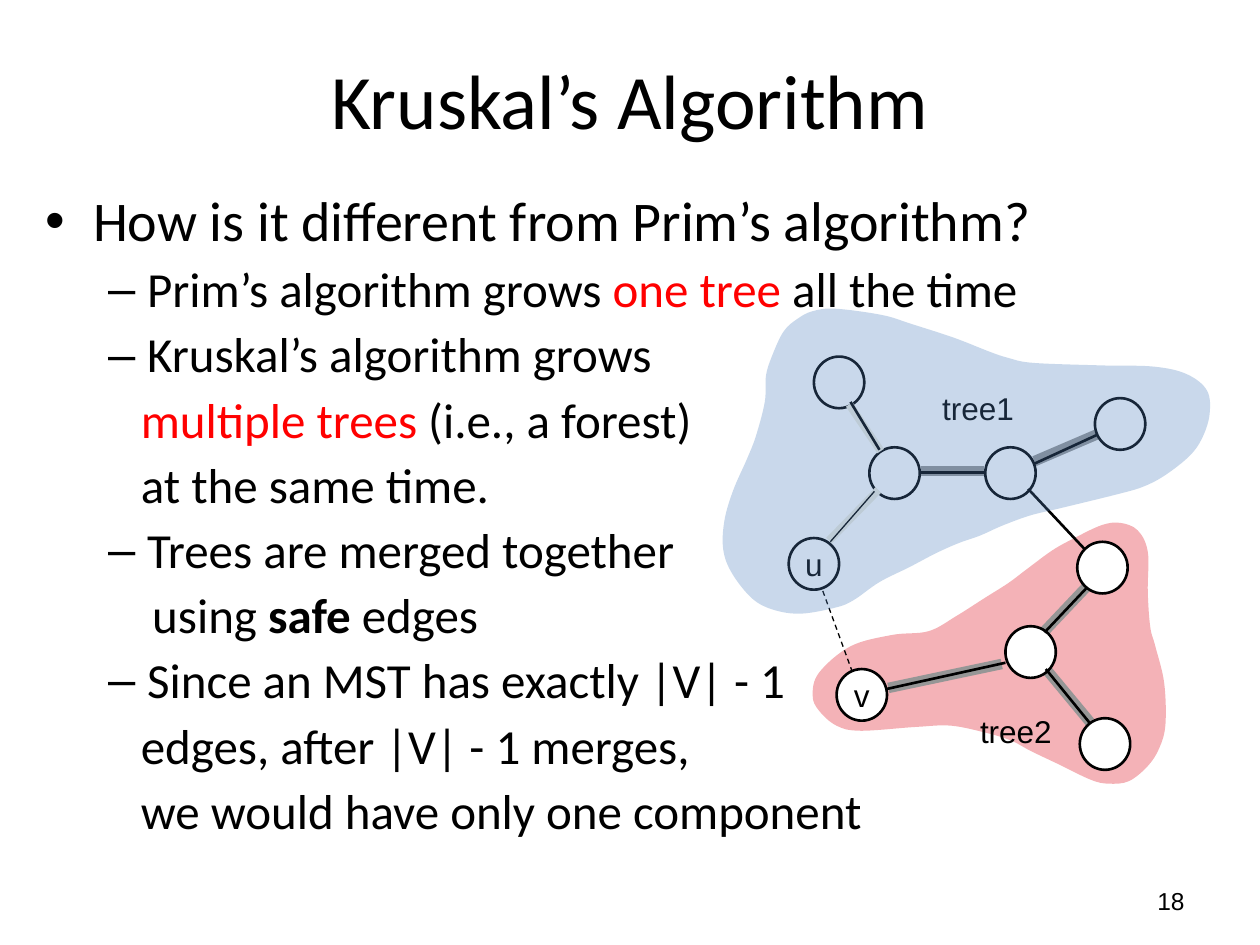
from lxml import etree
from pptx import Presentation
from pptx.dml.color import RGBColor
from pptx.enum.dml import MSO_LINE
from pptx.enum.shapes import MSO_CONNECTOR, MSO_SHAPE
from pptx.enum.text import MSO_ANCHOR, PP_ALIGN
from pptx.oxml.ns import qn
from pptx.util import Inches, Pt

BLACK = RGBColor(0x00, 0x00, 0x00)
WHITE = RGBColor(0xFF, 0xFF, 0xFF)
RED = RGBColor(0xFF, 0x00, 0x00)
GRAY = RGBColor(0x96, 0x96, 0x96)
CREAM = RGBColor(0xEE, 0xEC, 0xE1)
TREE1_BLUE = RGBColor(0x4F, 0x81, 0xBD)
TREE2_RED = RGBColor(0xDD, 0x01, 0x11)

LEFT, CENTER, RIGHT = PP_ALIGN.LEFT, PP_ALIGN.CENTER, PP_ALIGN.RIGHT
TOP, MIDDLE = MSO_ANCHOR.TOP, MSO_ANCHOR.MIDDLE
STRAIGHT, OVAL, DASH = MSO_CONNECTOR.STRAIGHT, MSO_SHAPE.OVAL, MSO_LINE.DASH

TITLE = {"name": "Calibri", "size": Pt(44)}
HEADING = {"name": "Calibri", "size": Pt(32)}
BODY = {"name": "Calibri", "size": Pt(28)}
LABEL = {"name": "Arial", "size": Pt(18)}
SMALL = {"name": "Arial", "size": Pt(14)}

# Body rows: bullet, left margin, first-line indent, spans of (text, colour, bold)
SUB = ("–", 0.81, -0.31)
CONTINUED = (None, 0.76, 0)
ROWS = [
    (("•", 0.38, -0.38), [("How is it different from Prim’s algorithm?", BLACK, False)]),
    (SUB, [("Prim’s algorithm grows ", BLACK, False), ("one tree", RED, False),
           (" all the time", BLACK, False)]),
    (SUB, [("Kruskal’s algorithm grows", BLACK, False)]),
    (CONTINUED, [("multiple trees ", RED, False), ("(i.e., a forest)", BLACK, False)]),
    (CONTINUED, [("at the same time.", BLACK, False)]),
    (SUB, [("Trees are merged together", BLACK, False)]),
    ((None, 0.85, 0), [("using ", BLACK, False), ("safe", BLACK, True),
                       (" edges", BLACK, False)]),
    (SUB, [("Since an MST has exactly |V| - 1", BLACK, False)]),
    (CONTINUED, [("edges, after |V| - 1 merges,", BLACK, False)]),
    (CONTINUED, [("we would have only one component", BLACK, False)]),
]

# Outline points of the two tree areas
TREE1_AREA = [
    (6.33, 2.53), (6.22, 2.63), (6.13, 2.82), (6.08, 2.98), (6.07, 3.19), (6, 3.46),
    (5.93, 3.64), (5.82, 3.89), (5.75, 4.13), (5.74, 4.36), (5.81, 4.55), (5.97, 4.75),
    (6.14, 4.84), (6.36, 4.87), (6.64, 4.82), (6.78, 4.76), (6.98, 4.62), (7.22, 4.5),
    (7.43, 4.39), (7.61, 4.31), (7.78, 4.25), (7.96, 4.17), (8.18, 4.09), (8.43, 4.03),
    (8.88, 3.92), (9.08, 3.86), (9.25, 3.77), (9.44, 3.62), (9.54, 3.48), (9.6, 3.29),
    (9.58, 3.1), (9.42, 2.97), (9.16, 2.91), (8.74, 2.9), (8.2, 2.88), (8, 2.84),
    (7.85, 2.79), (7.57, 2.68), (7.23, 2.57), (7, 2.5), (6.63, 2.45), (6.45, 2.47),
]
TREE2_AREA = [
    (7.37, 5.01), (7.08, 5.04), (6.75, 5.13), (6.5, 5.34), (6.45, 5.52), (6.5, 5.64),
    (6.64, 5.76), (6.83, 5.8), (7.27, 5.77), (7.55, 5.76), (7.84, 5.82), (8.03, 5.88),
    (8.18, 5.96), (8.41, 6.07), (8.66, 6.19), (8.8, 6.22), (8.96, 6.2), (9.11, 6.08),
    (9.2, 5.94), (9.25, 5.75), (9.24, 5.42), (9.17, 5.13), (9.13, 4.98), (9.11, 4.7),
    (9.11, 4.38), (9.03, 4.21), (8.89, 4.15), (8.74, 4.17), (8.51, 4.28), (8.35, 4.37),
    (8.16, 4.51), (8, 4.63), (7.81, 4.75), (7.59, 4.89),
]

NODES = [
    (6.26, 4.27, "u"), (6.9, 3.55, ""), (7.82, 3.55, ""), (8.69, 3.16, ""),
    (8.55, 4.3, ""), (6.46, 2.83, ""), (7.98, 4.97, ""), (8.57, 5.7, ""),
    (6.64, 5.31, "v"),
]
GRAY_EDGES = [
    (7.31, 3.74, 7.81, 3.74), (8.21, 3.66, 8.7, 3.45), (7.05, 5.46, 7.95, 5.27),
    (8.29, 5.01, 8.64, 4.64), (8.31, 5.32, 8.65, 5.73),
]
CREAM_EDGES = [(6.58, 4.29, 6.97, 3.89), (6.74, 3.21, 6.99, 3.58)]
BLACK_EDGES = [
    (7.3, 3.75, 7.82, 3.75), (8.21, 3.68, 8.71, 3.45), (8.16, 3.88, 8.61, 4.36),
    (7.03, 5.47, 7.98, 5.26), (8.29, 5.02, 8.63, 4.66), (8.3, 5.31, 8.65, 5.74),
    (6.75, 3.19, 6.98, 3.57),
]


def round_corners(shape):
    """Turn the straight sides of a closed freeform into smooth Bezier curves."""
    outline = next(shape._element.iter(qn("a:path")))
    points = [(int(pt.get("x")), int(pt.get("y"))) for pt in outline.iter(qn("a:pt"))]
    for side in outline.findall(qn("a:lnTo")):
        outline.remove(side)
    closing = outline.find(qn("a:close"))
    count = len(points)
    for index in range(count):
        before, start, end, after = (points[(index + k) % count] for k in (-1, 0, 1, 2))
        leave = [s + (e - b) / 6 for b, s, e in zip(before, start, end)]
        arrive = [e - (a - s) / 6 for s, e, a in zip(start, end, after)]
        curve = etree.Element(qn("a:cubicBezTo"))
        for x, y in (leave, arrive, end):
            etree.SubElement(curve, qn("a:pt"), x=str(round(x)), y=str(round(y)))
        closing.addprevious(curve)


class SlideBuilder:
    def __init__(self, page):
        self.page = page

    def span(self, para, text, style, color=BLACK, bold=False):
        run = para.add_run()
        run.text = text
        for name, value in {**style, "bold": bold}.items():
            setattr(run.font, name, value)
        run.font.color.rgb = color

    def text_box(self, left, top, width, height, anchor=TOP, wrap=True):
        box = self.page.shapes.add_textbox(*map(Inches, (left, top, width, height)))
        box.text_frame.word_wrap = wrap
        box.text_frame.vertical_anchor = anchor
        return box.text_frame

    def text(self, place, text, style, align=LEFT, anchor=TOP, wrap=True):
        para = self.text_box(*place, anchor, wrap).paragraphs[0]
        para.alignment = align
        self.span(para, text, style)

    def bullets(self, place, rows):
        frame = self.text_box(*place)
        for index, ((bullet, margin, indent), spans) in enumerate(rows):
            para = frame.add_paragraph() if index else frame.paragraphs[0]
            props = para._p.get_or_add_pPr()
            props.set("marL", str(Inches(margin)))
            props.set("indent", str(Inches(indent)))
            if bullet:
                etree.SubElement(props, qn("a:buFont"), typeface="Arial")
                etree.SubElement(props, qn("a:buChar"), char=bullet)
            else:
                etree.SubElement(props, qn("a:buNone"))
            para.line_spacing = 0.9
            if index:
                para.level = 1
                para.space_before = Pt(7)
            for text, color, bold in spans:
                self.span(para, text, BODY if index else HEADING, color, bold)

    def area(self, points, color):
        corners = [(Inches(x), Inches(y)) for x, y in points]
        builder = self.page.shapes.build_freeform(*corners[0])
        builder.add_line_segments(corners[1:], close=True)
        shape = builder.convert_to_shape()
        round_corners(shape)
        shape.shadow.inherit = False
        shape.fill.solid()
        shape.fill.fore_color.rgb = color
        shape.line.fill.background()
        rgb = shape._element.spPr.find(qn("a:solidFill")).find(qn("a:srgbClr"))
        etree.SubElement(rgb, qn("a:alpha"), val="30000")

    def node(self, left, top, label):
        shape = self.page.shapes.add_shape(OVAL, *map(Inches, (left, top, 0.4, 0.41)))
        shape.shadow.inherit = False
        shape.fill.solid()
        shape.fill.fore_color.rgb = WHITE
        shape.line.color.rgb = BLACK
        shape.line.width = Pt(1.5)
        if label:
            frame = shape.text_frame
            frame.word_wrap = False
            frame.vertical_anchor = MIDDLE
            frame.paragraphs[0].alignment = CENTER
            self.span(frame.paragraphs[0], label, LABEL)

    def edge(self, ends, color=BLACK, width=1.5, dash=None):
        line = self.page.shapes.add_connector(STRAIGHT, *map(Inches, ends))
        line.line.color.rgb = color
        line.line.width = Pt(width)
        if dash:
            line.line.dash_style = dash
        etree.SubElement(line._element.spPr, qn("a:effectLst"))


def main():
    deck = Presentation()
    deck.slide_width, deck.slide_height = Inches(10), Inches(7.5)
    builder = SlideBuilder(deck.slides.add_slide(deck.slide_layouts[6]))

    # Title, body and page number
    builder.text((0.5, 0.16, 9, 1.25), "Kruskal’s Algorithm", TITLE, CENTER, MIDDLE)
    builder.bullets((0.26, 1.48, 9.11, 5.55), ROWS)
    builder.text((7.17, 6.95, 2.33, 0.4), "18", SMALL, RIGHT, MIDDLE)

    # Graph
    builder.area(TREE2_AREA, TREE2_RED)
    for ends in GRAY_EDGES:
        builder.edge(ends, GRAY, 6)
    for node in NODES:
        builder.node(*node)
    for ends in CREAM_EDGES:
        builder.edge(ends, CREAM, 4.5)
    for ends in BLACK_EDGES:
        builder.edge(ends)
    builder.text((7.38, 3.04, 0.77, 0.4), "tree1", LABEL, wrap=False)
    builder.text((7.68, 5.6, 0.77, 0.4), "tree2", LABEL, wrap=False)
    builder.edge((6.59, 4.3, 6.94, 3.9), width=0.75)
    builder.edge((6.53, 4.69, 6.76, 5.32), width=0.75, dash=DASH)
    builder.area(TREE1_AREA, TREE1_BLUE)

    deck.save("out.pptx")


if __name__ == "__main__":
    main()
